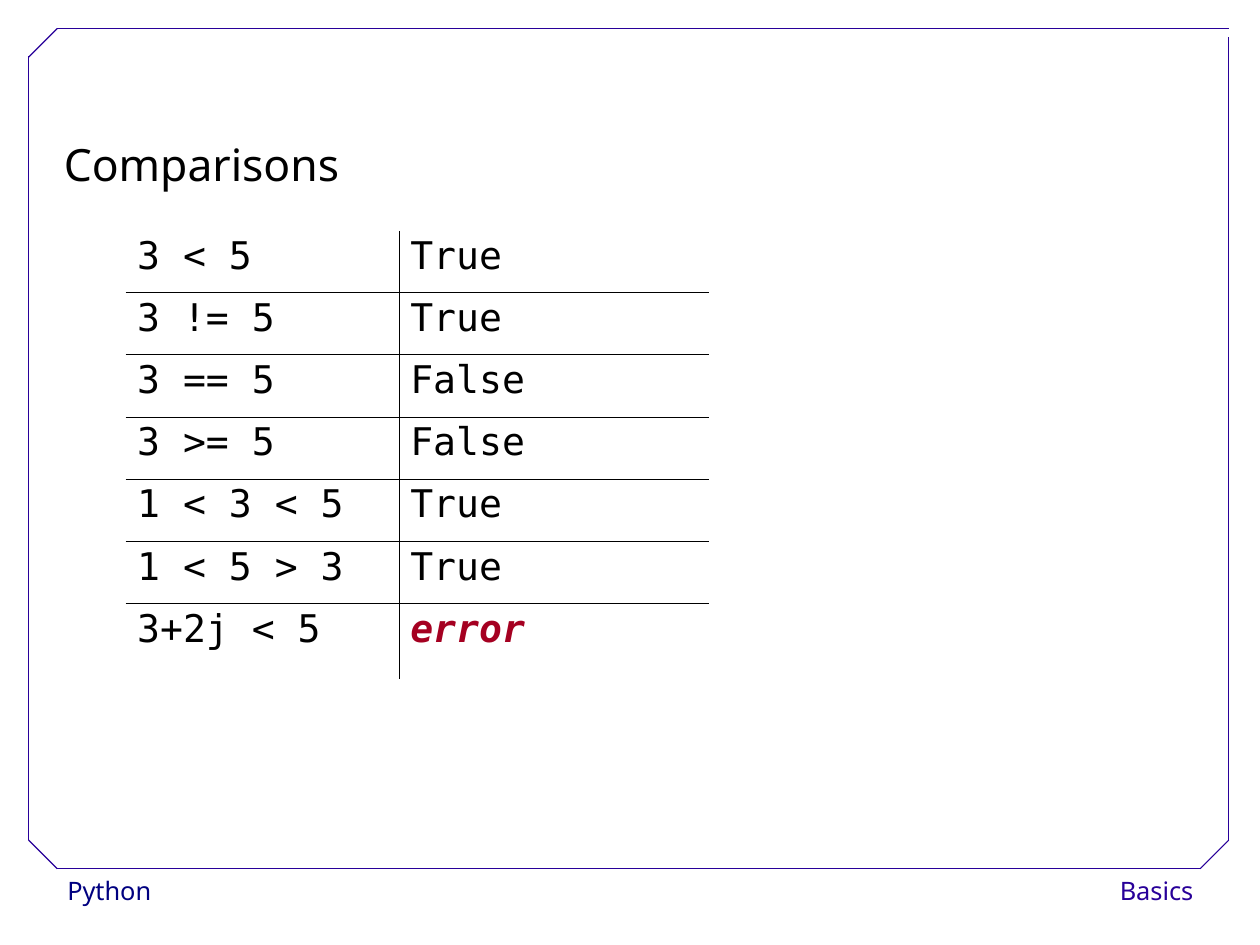
from lxml import etree
from pptx import Presentation
from pptx.dml.color import RGBColor
from pptx.enum import shapes, text
from pptx.oxml import ns
from pptx.util import Inches, Pt

INDIGO = "280099"
BLACK = "000000"


def color(hex_value):
    return RGBColor.from_string(hex_value)


def add_run(paragraph, words, size, font_name, hex_value):
    run = paragraph.add_run()
    run.text = words
    run.font.size = Pt(size)
    run.font.name = font_name
    run.font.color.rgb = color(hex_value)
    return run


# Slide of 28 by 21 centimetres
prs = Presentation()
prs.slide_width = Inches(28 / 2.54)
prs.slide_height = Inches(21 / 2.54)
slide = prs.slides.add_slide(prs.slide_layouts[6])

# Footer labels
footers = [
    ("Python", 0.49, 2.15, "000080", text.PP_ALIGN.LEFT),
    ("Basics", 9.14, 1.4, INDIGO, text.PP_ALIGN.RIGHT),
]
for words, left, width, hex_value, align in footers:
    footer = slide.shapes.add_shape(
        shapes.MSO_SHAPE.RECTANGLE, Inches(left), Inches(7.6), Inches(width), Inches(0.4))
    footer.shadow.inherit = False
    footer.fill.solid()
    footer.fill.fore_color.rgb = color("FFFFFF")
    footer.line.fill.background()
    footer.text_frame.vertical_anchor = text.MSO_ANCHOR.TOP
    paragraph = footer.text_frame.paragraphs[0]
    paragraph.alignment = align
    paragraph.line_spacing = 1.02
    add_run(paragraph, words, 16, "Noto Sans", hex_value)

# Frame with cut corners
frame = slide.shapes.add_group_shape()
frame_lines = [
    (0.5, 7.6, 10.5, 7.6),
    (0.25, 7.35, 0.25, 0.49),
    (0.5, 0.25, 10.75, 0.25),
    (10.75, 7.35, 10.75, 0.32),
    (0.25, 0.5, 0.5, 0.25),
    (10.5, 7.6, 10.75, 7.35),
    (0.25, 7.35, 0.5, 7.6),
]
for ends in frame_lines:
    edge = frame.shapes.add_connector(
        shapes.MSO_CONNECTOR.STRAIGHT, *[Inches(value) for value in ends])
    edge.line.color.rgb = color(INDIGO)
    edge.line.width = Pt(0.75)
    etree.SubElement(edge._element.spPr, ns.qn("a:effectLst"))

# Heading
heading = slide.shapes.add_textbox(Inches(0.46), Inches(0.92), Inches(3.61), Inches(0.8))
heading.text_frame.word_wrap = True
paragraph = heading.text_frame.paragraphs[0]
paragraph.line_spacing = 1.5
add_run(paragraph, "Comparisons", 28, "Noto Sans", BLACK)

# Comparison table
comparisons = [
    ("3 < 5", "True", 0.54),
    ("3 != 5", "True", 0.54),
    ("3 == 5", "False", 0.55),
    ("3 >= 5", "False", 0.54),
    ("1 < 3 < 5", "True", 0.55),
    ("1 < 5 > 3", "True", 0.54),
    ("3+2j < 5", "error", 0.66),
]
last = len(comparisons) - 1
table = slide.shapes.add_table(
    len(comparisons), 2, Inches(1.1), Inches(2.02), Inches(5.1), Inches(3.92)).table
table.first_row = table.horz_banding = False
table.columns[0].width, table.columns[1].width = Inches(2.39), Inches(2.71)

for r, (expression, result, height) in enumerate(comparisons):
    table.rows[r].height = Inches(height)
    for c, words in enumerate((expression, result)):
        cell = table.cell(r, c)
        paragraph = cell.text_frame.paragraphs[0]
        paragraph.line_spacing = 0.93
        run = add_run(paragraph, words, 24, "DejaVu Sans Mono", BLACK)
        if words == "error":
            run.font.bold = run.font.italic = True
            run.font.color.rgb = color("A50021")

        # Only the inner borders are ruled
        ruled = {"lnL": c == 1, "lnR": c == 0, "lnT": r > 0, "lnB": r < last}
        properties = cell._tc.get_or_add_tcPr()
        for side, shown in ruled.items():
            border = etree.SubElement(properties, ns.qn("a:" + side), w=str(Pt(0.45)))
            if shown:
                fill = etree.SubElement(border, ns.qn("a:solidFill"))
                etree.SubElement(fill, ns.qn("a:srgbClr"), val=BLACK)
            else:
                etree.SubElement(border, ns.qn("a:noFill"))
        cell.fill.background()

prs.save("out.pptx")
